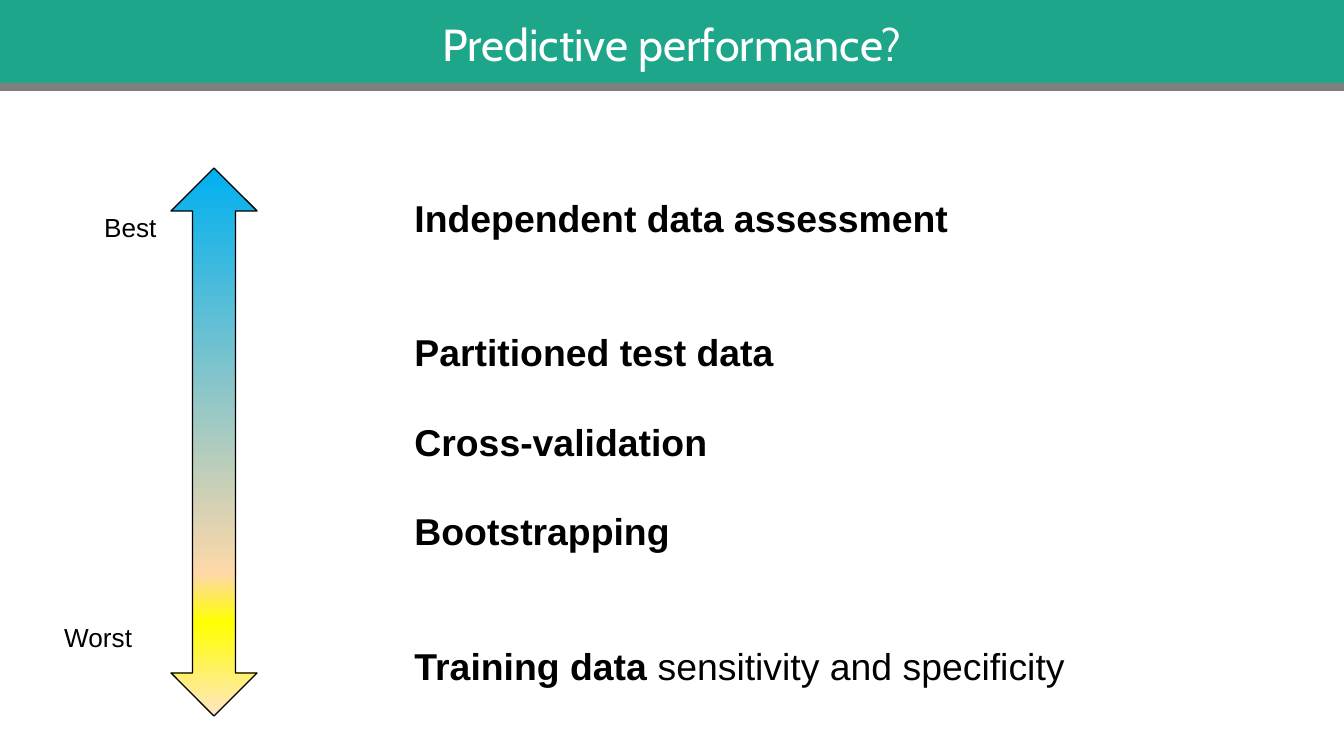
from dataclasses import dataclass

from lxml import etree
from pptx import Presentation
from pptx import util as u
from pptx.dml.color import RGBColor
from pptx.enum import shapes, text
from pptx.oxml.ns import qn

PX = 914400 / 134.4
WIDTH, HEIGHT = 1344, 756


@dataclass(frozen=True)
class Theme:
    heading_font: str = "Cabin"
    body_font: str = "Arial"
    title_size: int = 24
    body_size: int = 20
    label_size: int = 14
    bar: str = "1DA68A"
    rule: str = "7F7F7F"
    ink: str = "000000"
    paper: str = "FFFFFF"
    scale: tuple = ((0, "00B0F0"), (74, "FED8A8"), (83, "FFFF00"), (100, "FFE5C5"))


def px(*lengths):
    return [u.Emu(round(length * PX)) for length in lengths]


def write(paragraph, content, *, font, size, color, bold=False):
    run = paragraph.add_run()
    run.text = content
    run.font.name = font
    run.font.size = u.Pt(size)
    run.font.bold = bold
    run.font.color.rgb = RGBColor.from_string(color)


def place(shape, box):
    shape.left, shape.top, shape.width, shape.height = px(*box)


class SlideBuilder:
    def __init__(self, presentation, theme):
        self.theme = theme
        self.slide = presentation.slides.add_slide(presentation.slide_layouts[1])

    def title_bar(self, content, box):
        title = self.slide.shapes.title
        place(title, box)
        title.fill.solid()
        title.fill.fore_color.rgb = RGBColor.from_string(self.theme.bar)
        frame = title.text_frame
        frame.auto_size = text.MSO_AUTO_SIZE.NONE
        frame.vertical_anchor = text.MSO_ANCHOR.MIDDLE
        frame.paragraphs[0].alignment = text.PP_ALIGN.CENTER
        write(frame.paragraphs[0], content, font=self.theme.heading_font,
              size=self.theme.title_size, color=self.theme.paper)

    def rule(self, y, weight):
        line = self.slide.shapes.add_connector(
            shapes.MSO_CONNECTOR.STRAIGHT, *px(0, y, WIDTH, y))
        line.line.color.rgb = RGBColor.from_string(self.theme.rule)
        line.line.width = u.Pt(weight)
        etree.SubElement(line._element.spPr, qn("a:effectLst"))

    def method_list(self, items, box, pitch):
        """Each item is (blank lines above, bold text, plain text)."""
        body = self.slide.placeholders[1]
        place(body, box)
        frame = body.text_frame
        frame.auto_size = text.MSO_AUTO_SIZE.NONE
        for index, (gap, strong, plain) in enumerate(items):
            paragraph = frame.add_paragraph() if index else frame.paragraphs[0]
            properties = paragraph._p.get_or_add_pPr()
            properties.set("marL", "0")
            properties.set("indent", "0")
            etree.SubElement(properties, qn("a:buNone"))
            paragraph.line_spacing = u.Pt(pitch)
            paragraph.space_before = u.Pt(gap * pitch)
            for content, bold in ((strong, True), (plain, False)):
                if content:
                    write(paragraph, content, font=self.theme.body_font,
                          size=self.theme.body_size, color=self.theme.ink, bold=bold)

    def scale_arrow(self, box):
        arrow = self.slide.shapes.add_shape(shapes.MSO_SHAPE.UP_DOWN_ARROW, *px(*box))
        arrow.shadow.inherit = False
        arrow.line.color.rgb = RGBColor.from_string(self.theme.ink)
        arrow.line.width = u.Pt(0.75)
        arrow.fill.gradient()
        arrow.fill.gradient_angle = 270
        stops = arrow._element.spPr.find(qn("a:gradFill")).find(qn("a:gsLst"))
        for stop in list(stops):
            stops.remove(stop)
        for percent, color in self.theme.scale:
            stop = etree.SubElement(stops, qn("a:gs"), pos=str(percent * 1000))
            etree.SubElement(stop, qn("a:srgbClr"), val=color)

    def label(self, content, box):
        frame = self.slide.shapes.add_textbox(*px(*box)).text_frame
        frame.word_wrap = True
        write(frame.paragraphs[0], content, font=self.theme.body_font,
              size=self.theme.label_size, color=self.theme.ink)


def main():
    presentation = Presentation()
    presentation.slide_width, presentation.slide_height = px(WIDTH, HEIGHT)
    builder = SlideBuilder(presentation, Theme())
    builder.title_bar("Predictive performance?", (0, 0, WIDTH, 87))
    builder.rule(87, 4.5)
    builder.method_list([
        (0, "Independent data assessment", ""),
        (2, "Partitioned test data", ""),
        (1, "Cross-validation", ""),
        (1, "Bootstrapping", ""),
        (2, "Training data ", "sensitivity and specificity"),
    ], (401, 188, 759, 511), pitch=24)
    builder.scale_arrow((171, 168, 86, 548))
    builder.label("Worst", (51, 615, 113, 77))
    builder.label("Best", (91, 205, 661, 77))
    presentation.save("out.pptx")


if __name__ == "__main__":
    main()
